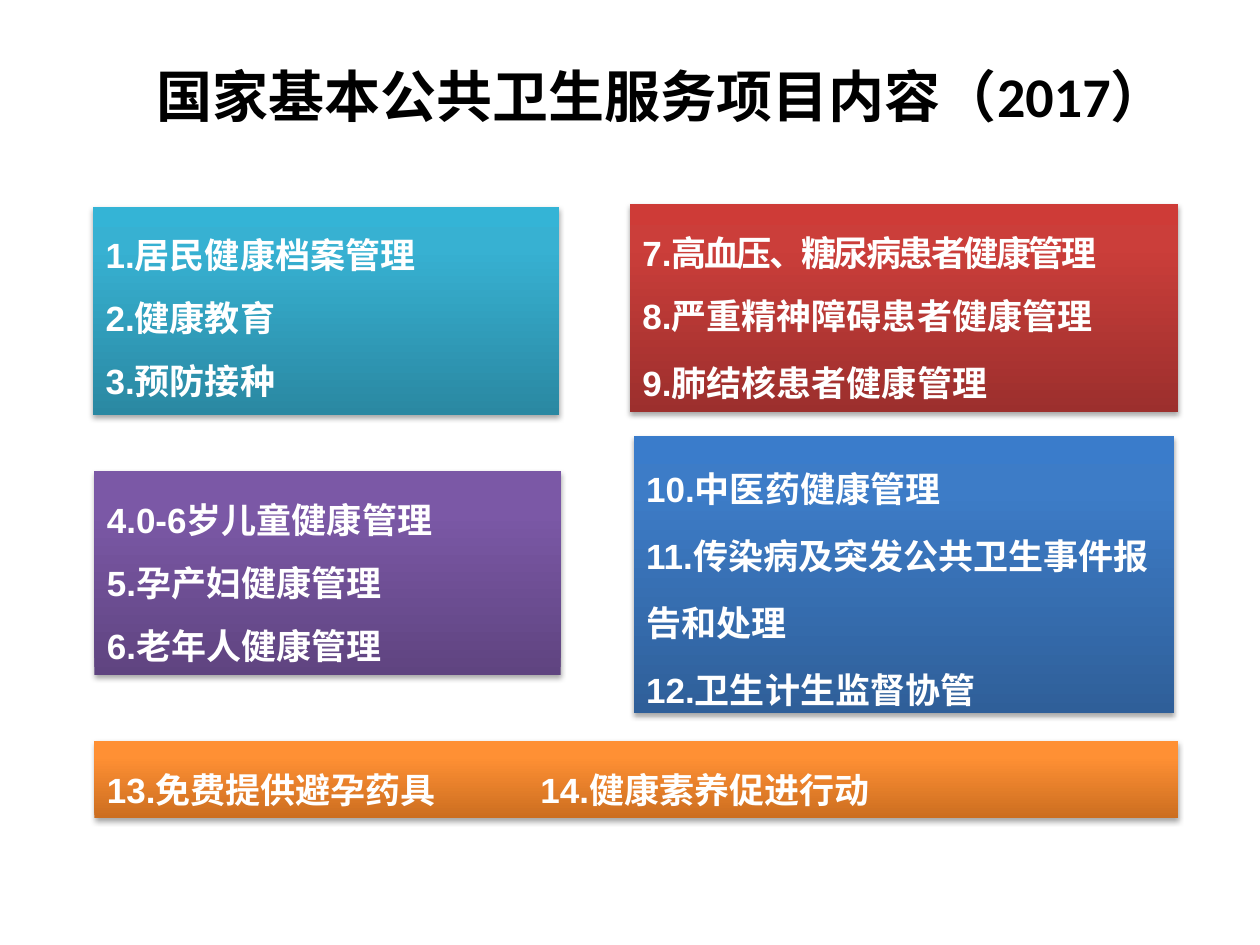
import copy

import pptx
import pptx.dml.color
import pptx.enum.shapes
import pptx.enum.text
import pptx.oxml
import pptx.oxml.ns
import pptx.util
from pptx.util import Inches

THEME = {
    "title_font": "Calibri", "title_size": 32, "title_color": "000000",
    "body_font": "Arial", "body_size": 20, "body_color": "FFFFFF",
    # Gradient colours from bottom to top
    "teal": ("2A88A2", "37B1D2", "34B4D6"),
    "blue": ("2F5F99", "3D7CC7", "3A7CCB"),
    "purple": ("5F4480", "7B58A6", "7C57A8"),
    "red": ("9C2F2D", "CB3E3A", "CE3B37"),
    "orange": ("CC6E20", "FF9034", "FF9136"),
}
GRADIENT_POSITIONS = (0, 0.8, 1)
SECOND_COLUMN_TAB = Inches(3.44)

TITLE = "国家基本公共卫生服务项目内容（2017）"
# Colour, (left, top, width, height), [(line spacing, [(text, letter spacing)])]
BOXES = [
    ("teal", (0.74, 1.64, 3.7, 1.65), [
        (1.5, [("1.居民健康档案管理", 0)]),
        (1.5, [("2.健康教育", 0)]),
        (1.5, [("3.预防接种", 0)]),
    ]),
    ("blue", (5.03, 3.46, 4.29, 2.2), [
        (1.6, [("10.中医药健康管理", 0)]),
        (1.6, [("11.传染病及突发公共卫生事件报告和处理", 0)]),
        (1.6, [("12.卫生计生监督协管", 0)]),
    ]),
    ("purple", (0.75, 3.74, 3.7, 1.62), [
        (1.5, [("4.0-6岁儿童健康管理", 0)]),
        (1.5, [("5.孕产妇健康管理", 0)]),
        (1.5, [("6.老年人健康管理", 0)]),
    ]),
    ("red", (5, 1.62, 4.35, 1.65), [
        (1.5, [("7.", 0), ("高血压、糖尿病患者健康管理", -1.5)]),
        (1.5, [("8.严重精神障碍患者健康管理", 0)]),
        (1.6, [("9.肺结核患者健康管理", 0)]),
    ]),
    ("orange", (0.75, 5.88, 8.6, 0.61), [
        (1.5, [("13.免费提供避孕药具\t14.健康素养促进行动", 0)]),
    ]),
]


def set_font(font, role):
    font.name = THEME[role + "_font"]
    font.size = pptx.util.Pt(THEME[role + "_size"])
    font.bold = True
    font.color.rgb = pptx.dml.color.RGBColor.from_string(THEME[role + "_color"])


def fill_gradient(shape, colors):
    shape.fill.gradient()
    shape.fill.gradient_angle = 90
    first = shape._element.spPr.find(".//" + pptx.oxml.ns.qn("a:gs"))
    first.addnext(copy.deepcopy(first))
    for stop, position, color in zip(shape.fill.gradient_stops, GRADIENT_POSITIONS, colors):
        stop.position = position
        stop.color.rgb = pptx.dml.color.RGBColor.from_string(color)


def add_shadow(shape):
    shape.shadow.inherit = False
    effects = shape._element.spPr.find(pptx.oxml.ns.qn("a:effectLst"))
    effects.append(pptx.oxml.parse_xml(
        f'<a:outerShdw {pptx.oxml.ns.nsdecls("a")} blurRad="{pptx.util.Pt(3.1)}" '
        f'dist="{pptx.util.Pt(1.8)}" dir="5400000" rotWithShape="0">'
        '<a:srgbClr val="000000"><a:alpha val="35000"/></a:srgbClr></a:outerShdw>'))


def add_tab_stop(paragraph, position):
    paragraph._p.get_or_add_pPr().insert_element_before(pptx.oxml.parse_xml(
        f'<a:tabLst {pptx.oxml.ns.nsdecls("a")}><a:tab pos="{position}" algn="l"/></a:tabLst>'),
        "a:defRPr", "a:extLst")


def add_box(slide, color, bounds, lines):
    shape = slide.shapes.add_shape(
        pptx.enum.shapes.MSO_SHAPE.RECTANGLE, *map(Inches, bounds))
    fill_gradient(shape, THEME[color])
    shape.line.fill.background()
    add_shadow(shape)
    frame = shape.text_frame
    frame.word_wrap = True
    frame.vertical_anchor = pptx.enum.text.MSO_ANCHOR.TOP
    for index, (line_spacing, runs) in enumerate(lines):
        paragraph = frame.add_paragraph() if index else frame.paragraphs[0]
        paragraph.alignment = pptx.enum.text.PP_ALIGN.LEFT
        paragraph.line_spacing = line_spacing
        set_font(paragraph.font, "body")
        for text, letter_spacing in runs:
            run = paragraph.add_run()
            run.text = text
            if letter_spacing:
                run.font._element.set("spc", str(int(letter_spacing * 100)))
            if "\t" in text:
                add_tab_stop(paragraph, SECOND_COLUMN_TAB)


def add_title(slide):
    title = slide.shapes.title
    title.left, title.top, title.width, title.height = map(Inches, (0.75, 0.13, 9, 1.25))
    title.text_frame.text = TITLE
    title.text_frame.vertical_anchor = pptx.enum.text.MSO_ANCHOR.MIDDLE
    paragraph = title.text_frame.paragraphs[0]
    paragraph.alignment = pptx.enum.text.PP_ALIGN.CENTER
    set_font(paragraph.font, "title")


def main():
    presentation = pptx.Presentation()
    presentation.slide_width, presentation.slide_height = Inches(10), Inches(7.5)
    slide = presentation.slides.add_slide(presentation.slide_layouts.get_by_name("Title Only"))
    add_title(slide)
    for color, bounds, lines in BOXES:
        add_box(slide, color, bounds, lines)
    presentation.save("out.pptx")


if __name__ == "__main__":
    main()
